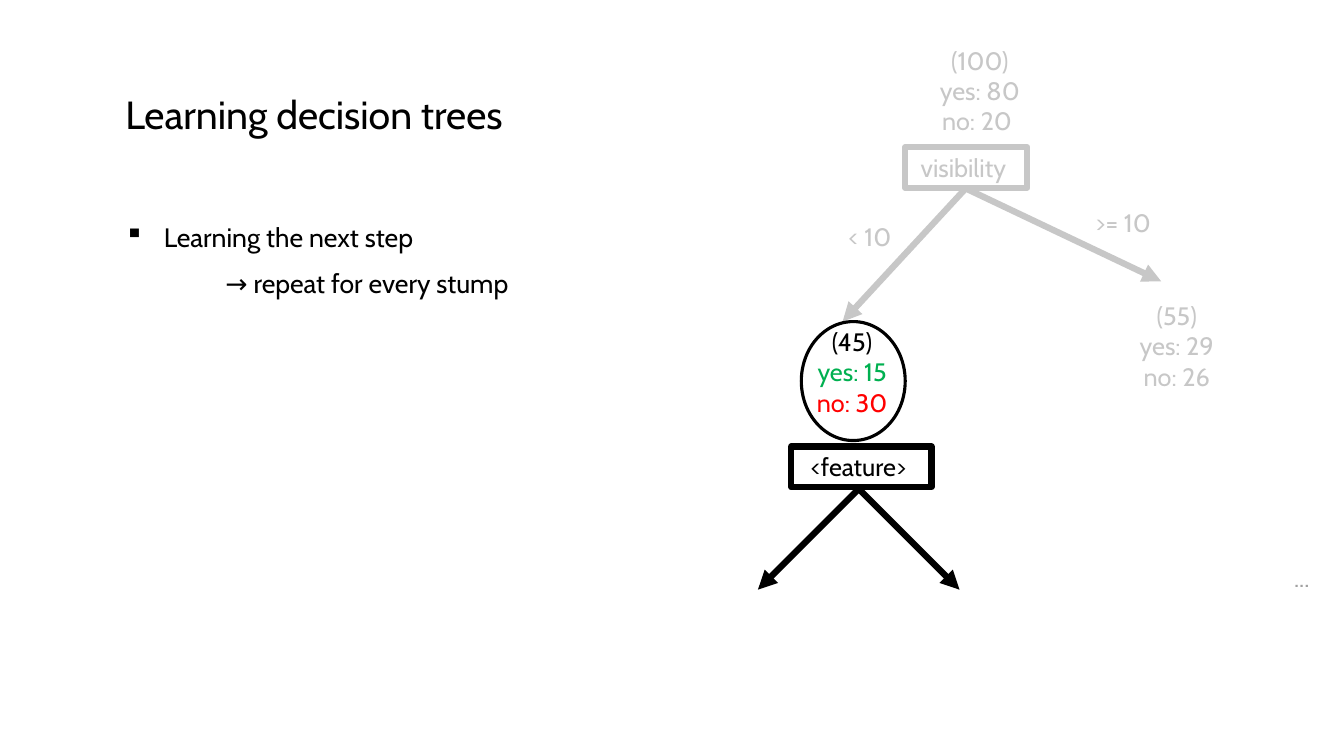
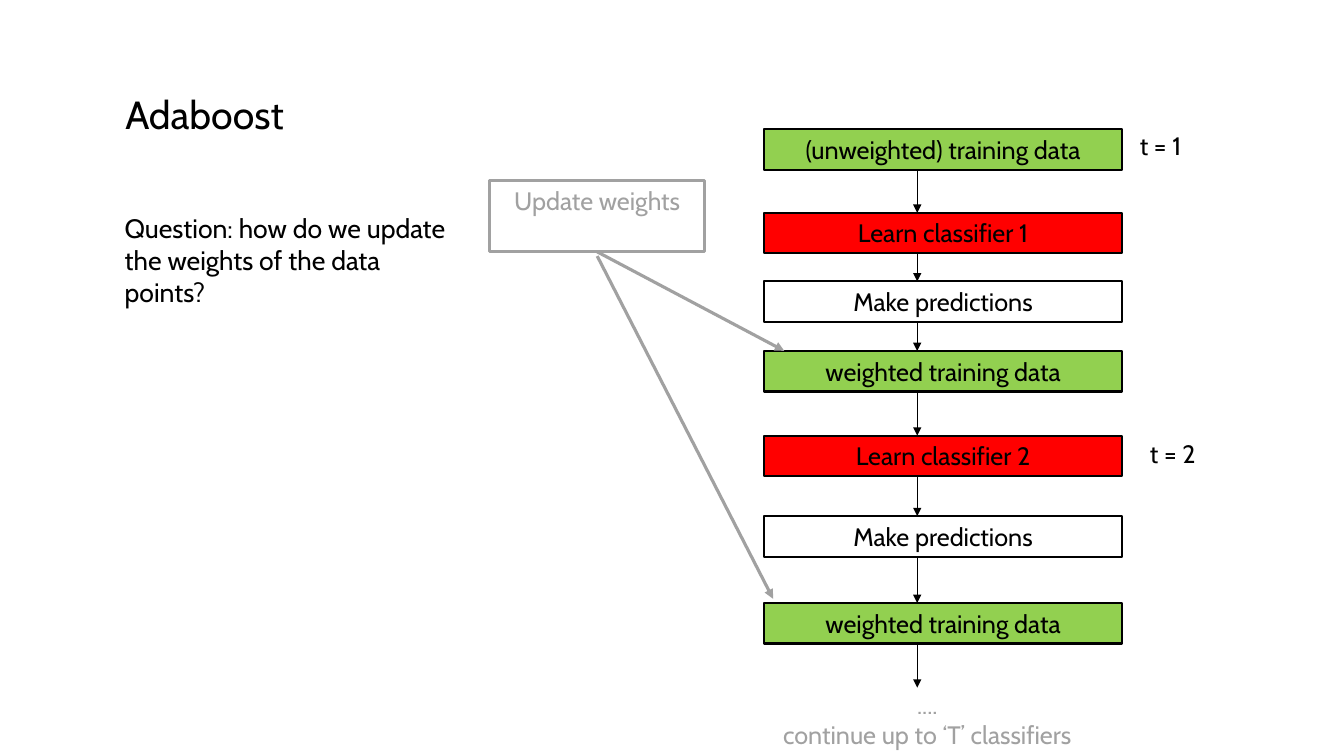
import dataclasses

import lxml.etree
import pptx
import pptx.dml.color
import pptx.enum.shapes
import pptx.enum.text
import pptx.oxml.ns
import pptx.util

Pt = pptx.util.Pt
ALIGN = pptx.enum.text.PP_ALIGN
ANCHOR = pptx.enum.text.MSO_ANCHOR
SHAPE = pptx.enum.shapes.MSO_SHAPE
STRAIGHT = pptx.enum.shapes.MSO_CONNECTOR.STRAIGHT


@dataclasses.dataclass(frozen=True)
class Theme:
    font: str = "Cabin"
    title_size: float = 28
    body_size: float = 19
    label_size: float = 18
    ink: str = "000000"
    faded: str = "C7C7C7"
    muted: str = "A1A1A1"
    yes: str = "00B050"
    no: str = "FF0000"
    data: str = "92D050"
    learner: str = "FF0000"
    heavy: float = 4.5
    medium: float = 2.25
    outline: float = 1.5
    thin: float = 0.5


@dataclasses.dataclass(frozen=True)
class Box:
    left: float
    top: float
    width: float
    height: float

    def inner(self, left, top, width, height):
        """Box whose offsets are counted from this box's corner."""
        return Box(self.left + left, self.top + top, width, height)

    def point(self, across, down):
        return self.left + across, self.top + down

    def lengths(self):
        return [Pt(value) for value in (self.left, self.top, self.width, self.height)]


THEME = Theme()
TITLE_BOX = Box(82.4, 62, 793, 42.5)
LINE_HEIGHT = 29


def rgb(code):
    return pptx.dml.color.RGBColor.from_string(code)


def write(frame, text, size, colors, align=ALIGN.LEFT):
    """Fill a frame; colors is one colour, or one for each paragraph."""
    frame.word_wrap = True
    frame.vertical_anchor = ANCHOR.TOP
    frame.text = text
    for index, para in enumerate(frame.paragraphs):
        para.alignment = align
        for span in para.runs:
            span.font.name = THEME.font
            span.font.size = Pt(size)
            span.font.color.rgb = rgb(colors if isinstance(colors, str) else colors[index])
    return frame


def add_text(page, box, text, colors=THEME.ink, size=THEME.label_size, align=ALIGN.LEFT):
    return write(page.shapes.add_textbox(*box.lengths()).text_frame, text, size, colors, align)


def add_outline(page, box, text="", color=THEME.ink, weight=THEME.outline,
                fill=None, preset=SHAPE.RECTANGLE):
    shape = page.shapes.add_shape(preset, *box.lengths())
    shape.shadow.inherit = False
    shape.line.color.rgb = rgb(color)
    shape.line.width = Pt(weight)
    if fill:
        shape.fill.solid()
        shape.fill.fore_color.rgb = rgb(fill)
    else:
        shape.fill.background()
    if text:
        write(shape.text_frame, text, THEME.label_size, color, ALIGN.CENTER)


def add_arrow(page, start, end, color=THEME.ink, weight=THEME.thin):
    arrow = page.shapes.add_connector(STRAIGHT, *[Pt(value) for value in (*start, *end)])
    arrow.line.color.rgb = rgb(color)
    arrow.line.width = Pt(weight)
    qn = pptx.oxml.ns.qn
    properties = arrow._element.spPr
    head = lxml.etree.SubElement(properties.find(qn("a:ln")), qn("a:tailEnd"))
    head.set("type", "triangle")
    lxml.etree.SubElement(properties, qn("a:effectLst"))


def add_title(page, text):
    frame = add_text(page, TITLE_BOX, text, size=THEME.title_size)
    frame.vertical_anchor = ANCHOR.MIDDLE
    frame.paragraphs[0].line_spacing = 0.9


def add_body(page, box, text):
    frame = add_text(page, box, text, size=THEME.body_size)
    for para in frame.paragraphs:
        para.space_before = Pt(10)
    return frame


def indent(para, left, bullet=None):
    """Set the left margin, with a hanging bullet when one is given."""
    properties = para._p.get_or_add_pPr()
    properties.set("marL", str(Pt(left)))
    properties.set("indent", str(-Pt(left) if bullet else 0))
    if bullet:
        mark = lxml.etree.SubElement(properties, pptx.oxml.ns.qn("a:buChar"))
        mark.set("char", bullet)


def draw_tree(page, box):
    # Root split, faded
    faded = THEME.faded
    add_outline(page, box.inner(106.6, 77.1, 87.1, LINE_HEIGHT), "visibility ", faded, THEME.heavy)
    for end in ((289.4, 172.9), (61.9, 201.7)):
        add_arrow(page, box.point(149.8, 106.6), box.point(*end), faded, THEME.heavy)
    add_text(page, box.inner(235.4, 116.7, 67, LINE_HEIGHT), ">= 10 ", faded)
    add_text(page, box.inner(59, 126.8, 67, LINE_HEIGHT), "< 10 ", faded)
    add_text(page, box.inner(377.3, 370.2, 42, LINE_HEIGHT), "... ", THEME.muted)

    # Sample counts at each node
    counts = (
        ((106.6, 0.8, 106.6, 73), "(100)\nyes: 80\nno: 20 ", faded),
        ((12.2, 201.7, 113, 73), "(45)\nyes: 15\nno: 30", (THEME.ink, THEME.yes, THEME.no)),
        ((235.4, 183, 130.3, 73), "(55)\nyes: 29\nno: 26", faded),
    )
    for place, text, colors in counts:
        add_text(page, box.inner(*place), text, colors, align=ALIGN.CENTER)

    # Next stump
    add_outline(page, box.inner(32.4, 201.7, 74.2, 85), weight=THEME.medium, preset=SHAPE.OVAL)
    add_outline(page, box.inner(25.2, 291, 100.1, LINE_HEIGHT), "<feature> ", weight=THEME.heavy)
    for reach in (72, -72):
        add_arrow(page, box.point(73.4, 321.2), box.point(73.4 + reach, 393.2), weight=THEME.heavy)


def draw_boosting(page, box):
    # Steps: distance from the top, text, fill
    steps = (
        (0, "(unweighted) training data", THEME.data),
        (59.8, "Learn classifier 1", THEME.learner),
        (108.8, "Make predictions", None),
        (158.5, "weighted training data", THEME.data),
        (219, "Learn classifier 2", THEME.learner),
        (276.5, "Make predictions", None),
        (338.5, "weighted training data", THEME.data),
    )
    for top, text, fill in steps:
        add_outline(page, box.inner(0, top, box.width, LINE_HEIGHT), text, fill=fill)

    # Arrows down to the next step
    tops = [step[0] for step in steps] + [399]
    for top, following in zip(tops, tops[1:]):
        add_arrow(page, box.point(109.4, top + LINE_HEIGHT), box.point(109.4, following))
    add_text(page, box.inner(-22.4, 396.7, 278, 51), "....\ncontinue up to ‘T’ classifiers",
             THEME.muted, align=ALIGN.CENTER)

    # Round labels
    add_text(page, box.inner(261.3, -2.9, 99, 30), "t = 1")
    add_text(page, box.inner(268.5, 217.4, 99, 30), "t = 2")


def draw_update(page, box):
    add_outline(page, box, "Update weights", THEME.muted, THEME.medium)
    middle = box.width / 2
    for start, end in ((51, (210.3, 121.7)), (54, (202.3, 298.8))):
        add_arrow(page, box.point(middle, start), box.point(*end), THEME.muted, THEME.medium)


def tree_slide(page):
    add_title(page, "Learning decision trees")
    body = add_body(page, Box(82, 154, 332, 80),
                    "Learning the next step\n→ repeat for every stump")
    indent(body.paragraphs[0], 28, "▪")
    indent(body.paragraphs[1], 72)
    draw_tree(page, Box(540, 28, 420, 400))


def adaboost_slide(page):
    add_title(page, "Adaboost")
    add_body(page, Box(82, 147.6, 245, 284),
             "Question: how do we update the weights of the data points?")
    draw_boosting(page, Box(545.8, 92.2, 255.6, 448))
    draw_update(page, Box(349.9, 128.9, 153.4, 51))


deck = pptx.Presentation()
deck.slide_width, deck.slide_height = Pt(960), Pt(540)
for build in (tree_slide, adaboost_slide):
    build(deck.slides.add_slide(deck.slide_layouts[6]))
deck.save("out.pptx")
